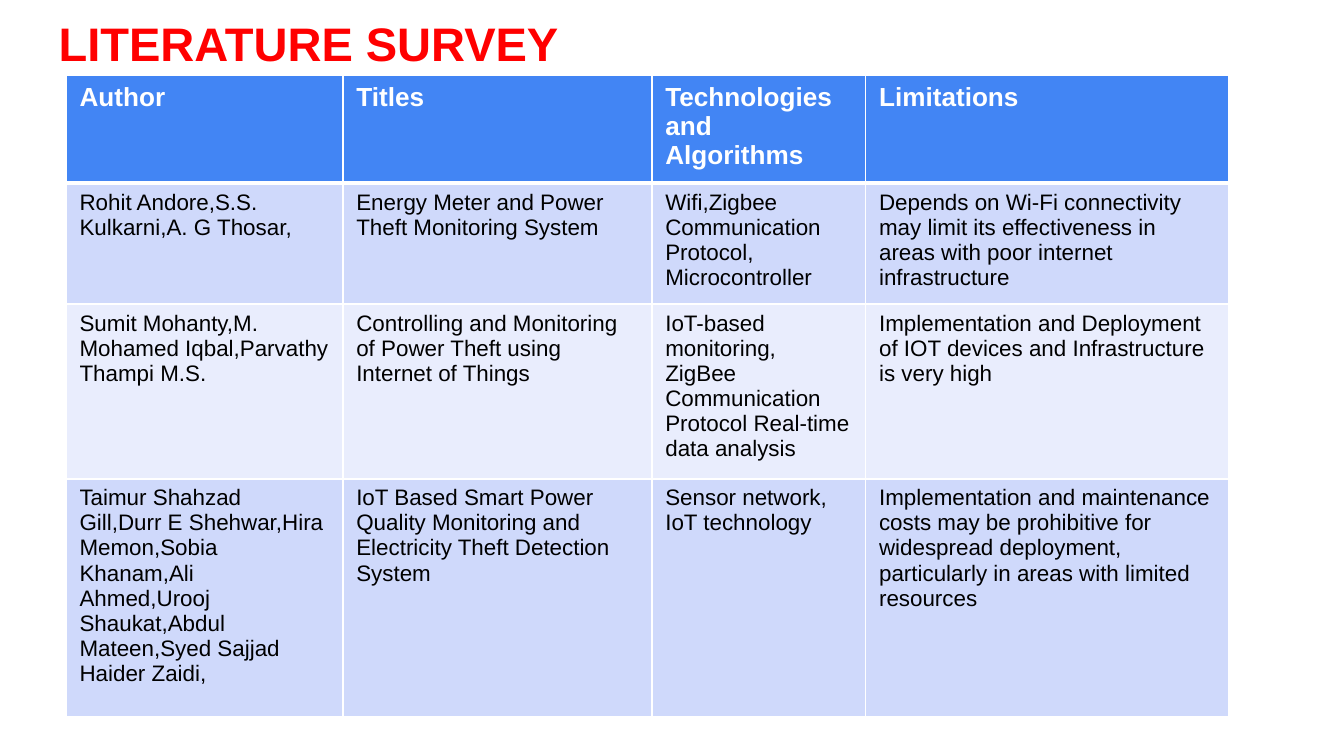
import pptx
import pptx.dml.color
import pptx.enum.text
import pptx.oxml
import pptx.oxml.ns
import pptx.util

Cm = pptx.util.Cm
Pt = pptx.util.Pt
RGBColor = pptx.dml.color.RGBColor

RED = RGBColor(0xFF, 0x00, 0x00)
WHITE = RGBColor(0xFF, 0xFF, 0xFF)
BLACK = RGBColor(0x00, 0x00, 0x00)
BLUE = RGBColor(0x42, 0x85, 0xF4)
BAND_DARK = RGBColor(0xCF, 0xD9, 0xFB)
BAND_LIGHT = RGBColor(0xE9, 0xED, 0xFD)

COL_WIDTHS = [5.23, 5.84, 4.04, 6.86]
ROW_HEIGHTS = [2.03, 2.29, 3.3, 4.5]
SURVEY = [
    ["Author", "Titles", "Technologies and Algorithms", "Limitations"],
    [
        "Rohit Andore,S.S. Kulkarni,A. G Thosar,",
        "Energy Meter and Power Theft Monitoring System",
        "Wifi,Zigbee Communication Protocol,\nMicrocontroller",
        "Depends on Wi-Fi connectivity may limit its effectiveness in areas "
        "with poor internet infrastructure",
    ],
    [
        "Sumit Mohanty,M. Mohamed Iqbal,Parvathy Thampi M.S.",
        "Controlling and Monitoring of Power Theft using Internet of Things",
        "IoT-based monitoring,\n"
        "ZigBee Communication Protocol Real-time data analysis",
        "Implementation and Deployment of IOT devices and Infrastructure "
        "is very high",
    ],
    [
        "Taimur Shahzad Gill,Durr E Shehwar,Hira Memon,Sobia Khanam,"
        "Ali Ahmed,Urooj Shaukat,Abdul Mateen,Syed Sajjad Haider Zaidi,",
        "IoT Based Smart Power Quality Monitoring and Electricity Theft "
        "Detection System",
        "Sensor network, IoT technology",
        "Implementation and maintenance costs may be prohibitive for "
        "widespread deployment, particularly in areas with limited resources",
    ],
]


class SlideBuilder:
    font = "Arial"

    def __init__(self, slide):
        self.slide = slide

    def style(self, tf, size, color, bold):
        for p in tf.paragraphs:
            p.alignment = pptx.enum.text.PP_ALIGN.LEFT
            p.font.name = self.font
            p.font.size = Pt(size)
            p.font.bold = bold
            p.font.color.rgb = color

    def title(self, text, left, top, width, height):
        sp = self.slide.shapes.title
        sp.left, sp.top = Cm(left), Cm(top)
        sp.width, sp.height = Cm(width), Cm(height)
        tf = sp.text_frame
        tf.text = text
        tf.auto_size = pptx.enum.text.MSO_AUTO_SIZE.NONE
        tf.vertical_anchor = pptx.enum.text.MSO_ANCHOR.BOTTOM
        tf.margin_left = tf.margin_right = Cm(0.25)
        tf.margin_top = tf.margin_bottom = Cm(0.25)
        self.style(tf, 25.2, RED, True)

    def borders(self, cell, **widths):
        """Draw white cell borders; widths in points, keyed by side in schema order."""
        tc_pr = cell._tc.get_or_add_tcPr()
        for i, (side, width) in enumerate(widths.items()):
            ln = pptx.oxml.parse_xml(
                f'<a:ln{side} {pptx.oxml.ns.nsdecls("a")} w="{Pt(width)}">'
                f'<a:solidFill><a:srgbClr val="{WHITE}"/></a:solidFill></a:ln{side}>'
            )
            tc_pr.insert(i, ln)

    def table(self, rows, left, top, col_widths, row_heights):
        table = self.slide.shapes.add_table(
            len(rows), len(col_widths), Cm(left), Cm(top),
            Cm(sum(col_widths)), Cm(sum(row_heights)),
        ).table
        for col, width in zip(table.columns, col_widths):
            col.width = Cm(width)
        for r, (row, height) in enumerate(zip(rows, row_heights)):
            table.rows[r].height = Cm(height)
            header = r == 0
            band = BAND_DARK if r % 2 else BAND_LIGHT
            for c, text in enumerate(row):
                cell = table.cell(r, c)
                cell.text = text
                cell.fill.solid()
                cell.fill.fore_color.rgb = BLUE if header else band
                self.style(cell.text_frame, 14 if header else 12,
                           WHITE if header else BLACK, header)
                self.borders(cell, L=1, R=1, T=3 if r == 1 else 1,
                             B=3 if header else 1)


def main():
    prs = pptx.Presentation()
    prs.slide_width, prs.slide_height = Cm(25.4), Cm(14.29)
    s = SlideBuilder(prs.slides.add_slide(prs.slide_layouts[5]))
    s.title("LITERATURE SURVEY", 0.86, 0, 23.67, 1.6)
    s.table(SURVEY, 1.25, 1.43, COL_WIDTHS, ROW_HEIGHTS)
    prs.save("out.pptx")


if __name__ == "__main__":
    main()
